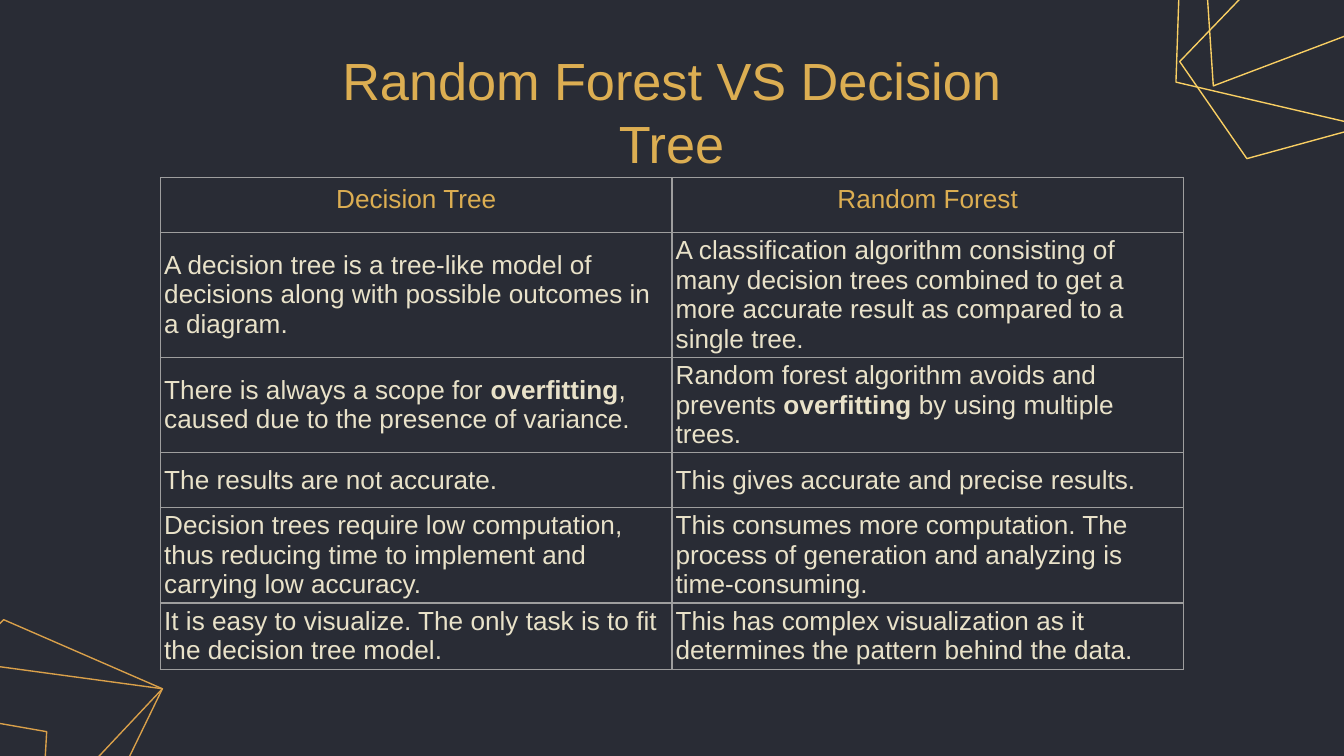
from dataclasses import dataclass
from lxml.etree import SubElement
from pptx import Presentation
from pptx.dml.color import RGBColor
from pptx.enum.text import MSO_ANCHOR, MSO_AUTO_SIZE, PP_ALIGN
from pptx.oxml.ns import qn
from pptx.util import Pt


@dataclass(frozen=True)
class Theme:
    font: str = "Arial"
    back: str = "292C35"
    gold: str = "DCAE52"
    bright: str = "F9CF63"
    amber: str = "D9A04A"
    cream: str = "E9E2C9"
    rule: str = "9E9E9E"
    title: float = 28
    body: float = 14
    line: float = 0.75


# Corner outlines, as corner points
TOP = [
    [(650, 46.5), (639, -120), (844, -91.5), (806.5, -13)],
    [(629.5, 43.5), (633, -43), (754.5, -86.5), (821, -76.5),
     (818.5, -34.5), (750, 72)],
    [(668, 85), (631.5, 33), (756.5, -96.5), (856, -55.5), (752.5, 62)],
]
BOTTOM = [
    [(-143, 491.5), (-138, 416.5), (-32.5, 381.5), (25, 391.5),
     (23, 428.5), (-39.5, 519)],
    [(-79, 487.5), (-109.5, 441.5), (1.5, 331.5), (87, 369), (-6, 468.5)],
    [(-79, 487.5), (-89.5, 345), (87, 369), (54.5, 437)],
]
HEADS = ("Decision Tree", "Random Forest")
# Text between asterisks is bold
ROWS = [
    ("A decision tree is a tree-like model of decisions along with possible "
     "outcomes in a diagram.",
     "A classification algorithm consisting of many decision trees combined "
     "to get a more accurate result as compared to a single tree."),
    ("There is always a scope for *overfitting*, caused due to the presence "
     "of variance.",
     "Random forest algorithm avoids and prevents *overfitting* by using "
     "multiple trees."),
    ("The results are not accurate.",
     "This gives accurate and precise results."),
    ("Decision trees require low computation, thus reducing time to "
     "implement and carrying low accuracy.",
     "This consumes more computation. The process of generation and "
     "analyzing is time-consuming."),
    ("It is easy to visualize. The only task is to fit the decision tree "
     "model.",
     "This has complex visualization as it determines the pattern behind "
     "the data."),
]
HEIGHTS = (29.2, 66.4, 50.8, 29.2, 50.8, 35.3)


class Deck:
    def __init__(self, theme):
        self.theme = theme
        self.prs = Presentation()
        self.prs.slide_width, self.prs.slide_height = Pt(720), Pt(405)
        self.slide = self.prs.slides.add_slide(self.prs.slide_layouts[5])
        fill = self.slide.background.fill
        fill.solid()
        fill.fore_color.rgb = RGBColor.from_string(theme.back)

    def style(self, para, size, color, align):
        para.alignment = align
        para.font.name = self.theme.font
        para.font.size = Pt(size)
        para.font.color.rgb = RGBColor.from_string(color)

    def title(self, text, left, top, width, height):
        box = self.slide.shapes.title
        box.left, box.top = Pt(left), Pt(top)
        box.width, box.height = Pt(width), Pt(height)
        frame = box.text_frame
        frame.text = text
        frame.word_wrap = True
        frame.auto_size = MSO_AUTO_SIZE.NONE
        frame.vertical_anchor = MSO_ANCHOR.MIDDLE
        frame.margin_left = frame.margin_right = Pt(7.2)
        frame.margin_top = frame.margin_bottom = Pt(7.2)
        self.style(frame.paragraphs[0], self.theme.title, self.theme.gold,
                   PP_ALIGN.CENTER)

    def outline(self, points, color):
        build = self.slide.shapes.build_freeform(*points[0], scale=Pt(1))
        build.add_line_segments(points[1:], close=True)
        shape = build.convert_to_shape()
        shape.shadow.inherit = False
        shape.fill.background()
        shape.line.color.rgb = RGBColor.from_string(color)
        shape.line.width = Pt(self.theme.line)

    def border(self, cell):
        """Rule all four sides; borders must come before the cell fill."""
        props = cell._tc.get_or_add_tcPr()
        for side in ("a:lnL", "a:lnR", "a:lnT", "a:lnB"):
            line = SubElement(props, qn(side), w=str(Pt(self.theme.line)))
            solid = SubElement(line, qn("a:solidFill"))
            SubElement(solid, qn("a:srgbClr"), val=self.theme.rule)

    def cell(self, cell, text, head):
        self.border(cell)
        cell.fill.background()
        para = cell.text_frame.paragraphs[0]
        for i, part in enumerate(text.split("*")):
            run = para.add_run()
            run.text = part
            if i % 2:
                run.font.bold = True
        if head:
            self.style(para, self.theme.body, self.theme.gold,
                       PP_ALIGN.CENTER)
            return
        self.style(para, self.theme.body, self.theme.cream, PP_ALIGN.LEFT)
        cell.vertical_anchor = MSO_ANCHOR.MIDDLE
        cell.margin_left = cell.margin_right = Pt(2)
        cell.margin_top = cell.margin_bottom = Pt(2)

    def table(self, rows, heights, left, top, width):
        count = len(rows[0])
        grid = self.slide.shapes.add_table(
            len(rows), count, Pt(left), Pt(top), Pt(width),
            Pt(sum(heights))).table
        grid.first_row = grid.horz_banding = False
        for r, (texts, height) in enumerate(zip(rows, heights)):
            grid.rows[r].height = Pt(height)
            for c, text in enumerate(texts):
                self.cell(grid.cell(r, c), text, r == 0)


def main():
    theme = Theme()
    deck = Deck(theme)
    for color, group in ((theme.bright, TOP), (theme.amber, BOTTOM)):
        for points in group:
            deck.outline(points, color)
    deck.title("Random Forest VS Decision Tree", 157, 42.5, 405.5, 34)
    deck.table([HEADS, *ROWS], HEIGHTS, 86, 95.3, 548)
    deck.prs.save("out.pptx")


if __name__ == "__main__":
    main()
